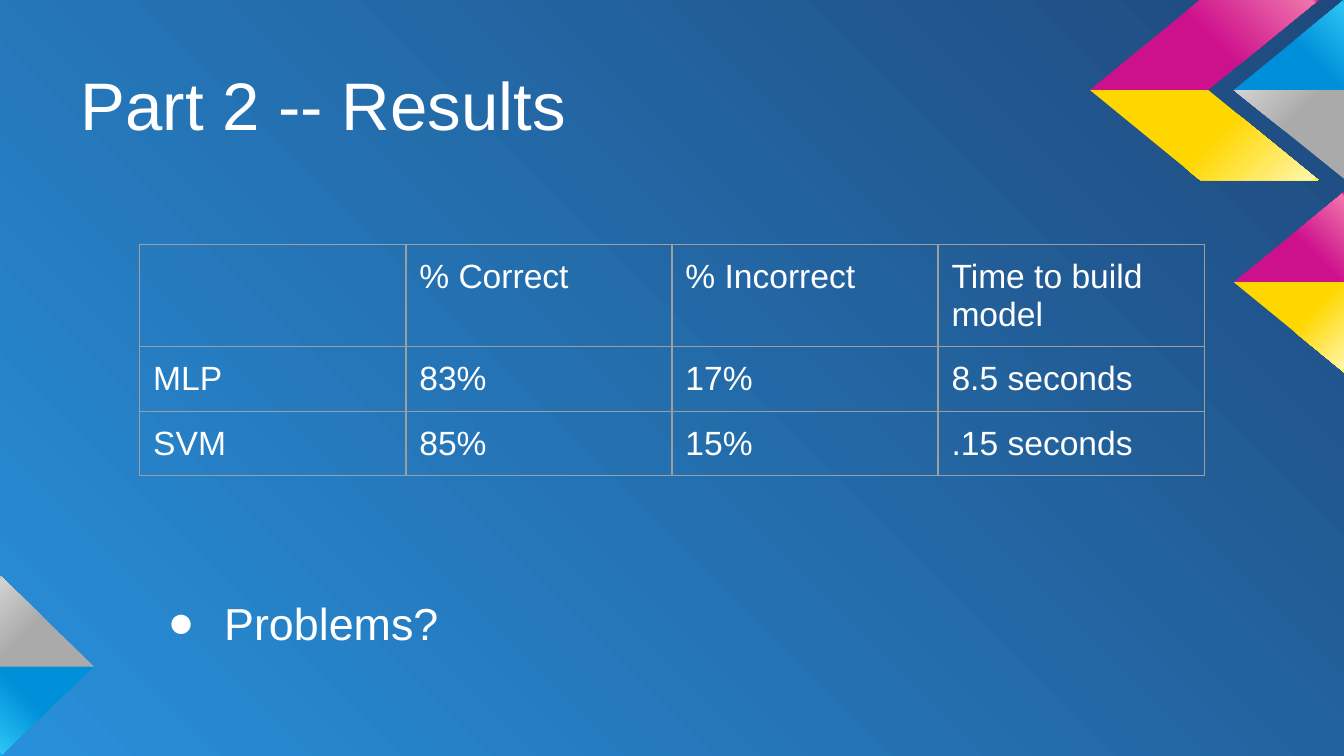
from lxml import etree
from pptx import Presentation
from pptx.dml.color import RGBColor
from pptx.enum.text import MSO_ANCHOR, MSO_AUTO_SIZE, PP_ALIGN
from pptx.oxml import parse_xml
from pptx.oxml.ns import nsdecls, qn
from pptx.util import Inches, Pt

ALIGN_LEFT = PP_ALIGN.LEFT
ANCHOR_TOP = MSO_ANCHOR.TOP
ANCHOR_BOTTOM = MSO_ANCHOR.BOTTOM
NO_AUTOFIT = MSO_AUTO_SIZE.NONE
FONT = "Arial"
TITLE_ONLY = 5
SLIDE_WIDTH = Inches(10)
SLIDE_HEIGHT = SLIDE_WIDTH * 9 // 16
COLORS = {"text": "FFFFFF", "border": "9E9E9E", "glow": "2890DA", "navy": "1F497D"}
# Body, highlight and edge colour of each ribbon
RIBBONS = {
    "cyan": ("0090DA", "2BC4F3", "00AEEE"),
    "gray": ("AAAAAA", "D2D2D2", "B9B9B9"),
    "magenta": ("CD118C", "F074AC", "EB008B"),
    "yellow": ("FFD700", "FFF7A9", "FFF100"),
}
# Ribbon colour, clockwise gradient angle, corners
FACETS = [
    ("cyan", 135, [(0.7, 4.96), (0, 4.96), (0, 5.62), (0.01, 5.62)]),
    ("gray", 225, [(0.7, 4.96), (0.01, 4.29), (0, 4.29), (0, 4.96)]),
    ("cyan", 315, [(10, 0), (9.18, 0.67), (10, 0.67)]),
    ("gray", 225, [(9.18, 0.67), (10, 1.33), (10, 0.67)]),
    ("magenta", 315, [(8.99, 0.67), (9.81, 0), (8.93, 0), (8.11, 0.67)]),
    ("magenta", 315, [(10, 1.43), (9.18, 2.1), (10, 2.1)]),
    ("yellow", 45, [(9.18, 2.1), (10, 2.77), (10, 2.1)]),
    ("yellow", 45, [(8.99, 0.67), (9.81, 1.34), (8.93, 1.34), (8.11, 0.67)]),
]
RESULTS = [
    ("", "% Correct", "% Incorrect", "Time to build model"),
    ("MLP", "83%", "17%", "8.5 seconds"),
    ("SVM", "85%", "15%", ".15 seconds"),
]
ROW_HEIGHTS = (0.76, 0.48, 0.48)
COLUMN_WIDTH = 1.98


def set_gradient(fill, owner, stops, direction):
    """Give a fill the (percent, colour) stops and an XML direction."""
    fill.gradient()
    gradient = next(owner.iter(qn("a:gradFill")))
    stop_xml = "".join(
        f'<a:gs pos="{percent * 1000}"><a:srgbClr val="{color}"/></a:gs>'
        for percent, color in stops
    )
    gradient.getparent().replace(gradient, parse_xml(
        f'<a:gradFill {nsdecls("a")} rotWithShape="1"><a:gsLst>{stop_xml}</a:gsLst>'
        f"{direction}</a:gradFill>"
    ))


def paint_background(slide):
    """Spread a radial gradient from the bottom left corner."""
    set_gradient(
        slide.background.fill, slide.element,
        [(0, COLORS["glow"]), (100, COLORS["navy"])],
        '<a:path path="circle"><a:fillToRect t="100000" r="100000"/></a:path>',
    )


def add_facet(slide, ribbon, angle, corners):
    """Draw one shaded polygon of the corner ribbons."""
    points = [(Inches(x), Inches(y)) for x, y in corners]
    builder = slide.shapes.build_freeform(*points[0])
    builder.add_line_segments(points[1:], close=True)
    facet = builder.convert_to_shape()
    facet.shadow.inherit = False
    facet.line.fill.background()
    body, highlight, edge = RIBBONS[ribbon]
    set_gradient(
        facet.fill, facet.element,
        [(0, body), (54, body), (98, highlight), (100, edge)],
        f'<a:lin ang="{angle * 60000}" scaled="0"/>',
    )


def style_paragraph(paragraph, size):
    """Set white left-aligned text of the given size."""
    paragraph.alignment = ALIGN_LEFT
    paragraph.font.name = FONT
    paragraph.font.size = Pt(size)
    paragraph.font.color.rgb = RGBColor.from_string(COLORS["text"])


def set_margins(holder):
    """Give a text frame or a cell even margins."""
    holder.margin_left = holder.margin_right = Inches(0.1)
    holder.margin_top = holder.margin_bottom = Inches(0.1)


def fill_frame(frame, text, size, anchor):
    """Write one paragraph into a text frame and return it."""
    frame.word_wrap = True
    frame.auto_size = NO_AUTOFIT
    frame.vertical_anchor = anchor
    set_margins(frame)
    frame.text = text
    style_paragraph(frame.paragraphs[0], size)
    return frame.paragraphs[0]


def add_title(slide, text):
    """Place and format the title placeholder."""
    title = slide.shapes.title
    title.left, title.top = Inches(0.5), Inches(0.23)
    title.width, title.height = Inches(7.52), Inches(0.94)
    fill_frame(title.text_frame, text, 36, ANCHOR_BOTTOM)


def add_borders(cell):
    """Outline a cell on all four sides."""
    properties = cell._tc.get_or_add_tcPr()
    for side in ("lnL", "lnR", "lnT", "lnB"):
        properties.append(parse_xml(
            f'<a:{side} {nsdecls("a")} w="{Pt(0.75)}"><a:solidFill>'
            f'<a:srgbClr val="{COLORS["border"]}"/></a:solidFill></a:{side}>'
        ))


def add_results_table(slide):
    """Add the transparent, outlined table of results."""
    columns = len(RESULTS[0])
    table = slide.shapes.add_table(
        len(RESULTS), columns, Inches(1.04), Inches(1.82),
        Inches(COLUMN_WIDTH * columns), Inches(sum(ROW_HEIGHTS)),
    ).table
    table.first_row = table.horz_banding = False
    for row, height, values in zip(table.rows, ROW_HEIGHTS, RESULTS):
        row.height = Inches(height)
        for cell, value in zip(row.cells, values):
            cell.text = value
            set_margins(cell)
            style_paragraph(cell.text_frame.paragraphs[0], 18)
            add_borders(cell)
            cell.fill.background()


def add_bullet(slide, text):
    """Add the bulleted discussion point below the table."""
    point = slide.shapes.add_textbox(
        Inches(1.07), Inches(4.13), Inches(7.86), Inches(0.65)
    )
    paragraph = fill_frame(point.text_frame, text, 24, ANCHOR_TOP)
    paragraph.line_spacing = 1.5
    properties = paragraph._p.get_or_add_pPr()
    properties.set("marL", str(Inches(0.5)))
    properties.set("indent", str(Inches(-0.42)))
    bullet_color = parse_xml(
        f'<a:buClr {nsdecls("a")}><a:srgbClr val="{COLORS["text"]}"/></a:buClr>'
    )
    bullet_font = etree.Element(qn("a:buFont"), typeface=FONT)
    bullet = etree.Element(qn("a:buChar"), char="●")
    properties.find(qn("a:lnSpc")).addnext(bullet_color)
    bullet_color.addnext(bullet_font)
    bullet_font.addnext(bullet)


def main():
    """Build the results slide."""
    deck = Presentation()
    deck.slide_width, deck.slide_height = SLIDE_WIDTH, SLIDE_HEIGHT
    slide = deck.slides.add_slide(deck.slide_layouts[TITLE_ONLY])
    paint_background(slide)
    for ribbon, angle, corners in FACETS:
        add_facet(slide, ribbon, angle, corners)
    add_title(slide, "Part 2 -- Results")
    add_results_table(slide)
    add_bullet(slide, "Problems?")
    deck.save("out.pptx")


main()
